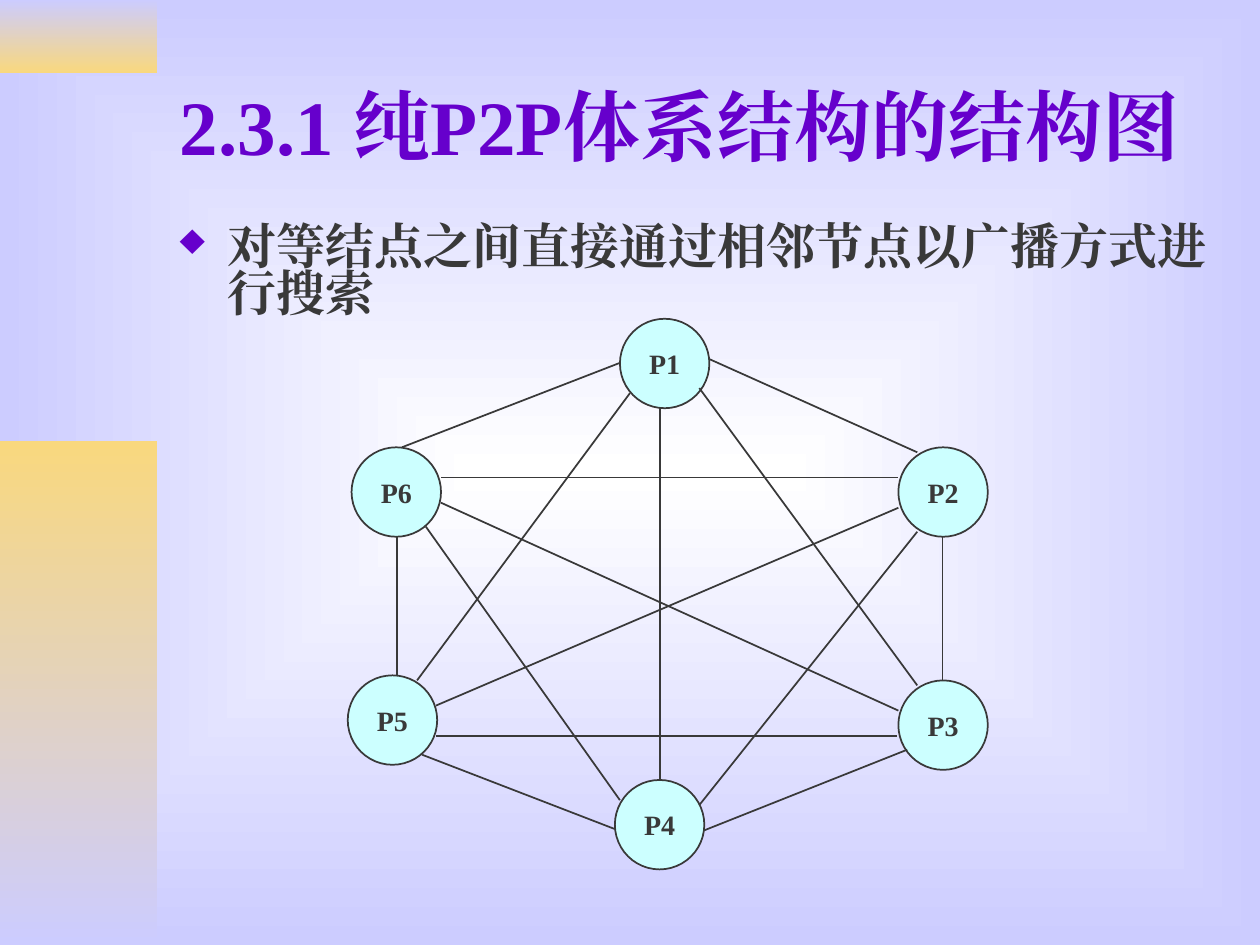
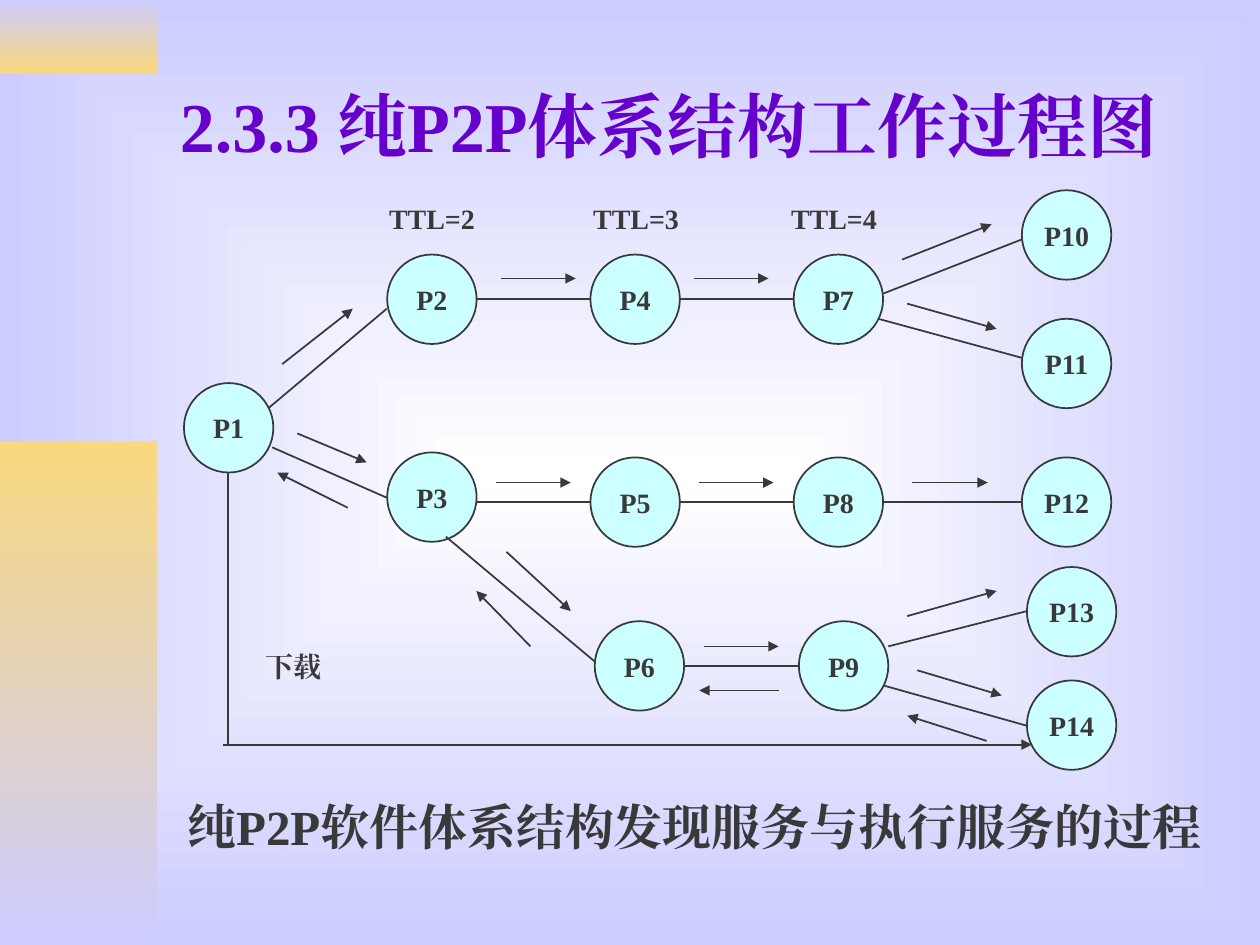
from lxml import etree
from pptx import Presentation
from pptx.dml.color import RGBColor
from pptx.enum.shapes import MSO_CONNECTOR, MSO_SHAPE
from pptx.enum.text import MSO_ANCHOR, PP_ALIGN
from pptx.oxml.ns import qn
from pptx.util import Inches, Pt

WHITE = RGBColor(0xFF, 0xFF, 0xFF)
LAVENDER = RGBColor(0xCC, 0xCC, 0xFF)
GOLD = RGBColor(0xF9, 0xD8, 0x7E)
PURPLE = RGBColor(0x66, 0x00, 0xCC)
CHARCOAL = RGBColor(0x39, 0x39, 0x39)
CYAN = RGBColor(0xCC, 0xFF, 0xFF)

STRAIGHT = MSO_CONNECTOR.STRAIGHT
OVAL, RECTANGLE = MSO_SHAPE.OVAL, MSO_SHAPE.RECTANGLE
TOP, MIDDLE = MSO_ANCHOR.TOP, MSO_ANCHOR.MIDDLE
LEFT, CENTER = PP_ALIGN.LEFT, PP_ALIGN.CENTER

FONT = "Times New Roman"
WIDTH, HEIGHT = Inches(10), Inches(7.5)
CELL = WIDTH // 100
NODE = 7.1
STAGES = [14.6 + 16.13 * stage for stage in range(4)]
LAST_STAGE = 81.1

MESH_PEERS = {
    "P1": (49.2, 25.3), "P6": (27.9, 35.5), "P5": (27.6, 53.6),
    "P4": (48.8, 61.9), "P2": (71.3, 35.5), "P3": (71.3, 54),
}
MESH_LINKS = [
    (49.2, 28.8, 31.9, 35.5), (50, 31.2, 33.1, 54), (55.5, 30.8, 72.8, 54.4),
    (56.3, 28.5, 72.8, 35.9), (35, 37.9, 71.3, 37.9), (31.5, 42.6, 31.5, 53.6),
    (33.8, 41.8, 49.2, 63.5), (74.8, 42.6, 74.8, 54), (72.8, 42.2, 55.5, 63.9),
    (72, 59.5, 55.9, 65.9), (48.8, 65.8, 33.5, 59.9), (71.2, 58.4, 34.6, 58.4),
    (52.4, 32.4, 52.4, 61.9), (35, 39.9, 71.3, 56.4), (71.3, 40.3, 34.6, 56),
]

SEARCH_PEERS = {
    "P1": (STAGES[0], 30.4),
    "P2": (STAGES[1], 20.2), "P4": (STAGES[2], 20.2), "P7": (STAGES[3], 20.2),
    "P10": (LAST_STAGE, 15.1), "P11": (LAST_STAGE, 25.3),
    "P3": (STAGES[1], 35.9), "P5": (STAGES[2], 36.3), "P8": (STAGES[3], 36.3),
    "P12": (LAST_STAGE, 36.3),
    "P6": (47.2, 49.3), "P9": (63.4, 49.3),
    "P13": (81.5, 45), "P14": (81.5, 54),
}
SEARCH_CHAINS = [("P2", "P4", "P7"), ("P3", "P5", "P8", "P12"), ("P6", "P9")]
SEARCH_BRANCHES = [
    (21.3, 32.4, 30.7, 24.5), (70.1, 23.3, 81.1, 19), (69.7, 25.3, 81.1, 28.4),
    (21.6, 35.5, 30.7, 39.5), (35.4, 42.6, 47.2, 52.5),
    (70.5, 51.3, 81.5, 48.5), (70.1, 54.4, 81.5, 57.6),
]
QUERIES = [
    (22.4, 28.9, 28, 24.5), (39.8, 22.1, 45.7, 22.1), (55.1, 22.1, 61, 22.1),
    (71.6, 20.6, 78.7, 17.8), (72, 24.1, 79.1, 26.1), (23.6, 34.4, 29.1, 36.7),
    (40.2, 43.8, 45.3, 48.5), (39.4, 38.3, 45.3, 38.3), (55.5, 38.3, 61.4, 38.3),
    (72.4, 38.3, 78.4, 38.3), (55.9, 51.3, 61.8, 51.3), (72, 48.9, 79.1, 46.9),
    (72.8, 53.2, 79.5, 55.2),
]
REPLIES = [
    (78.3, 58.8, 72, 56.8), (61.8, 54.8, 55.5, 54.8),
    (42.1, 51.3, 37.8, 46.9), (27.6, 40.3, 22, 37.5),
]
DOWNLOAD_DROP = (18.1, 37.5, 18.1, 59.1)
DOWNLOAD_RUN = (17.7, 59.1, 81.9, 59.1)


def cells(*lengths):
    """Convert grid columns and rows to slide lengths."""
    return [round(length * CELL) for length in lengths]


def shade(fill, start, end):
    """Give a fill a two-colour gradient."""
    fill.gradient()
    for stop, colour in zip(fill.gradient_stops, (start, end)):
        stop.color.rgb = colour


def paint_background(master):
    """Spread a rectangular gradient from the centre of every slide."""
    shade(master.background.fill, WHITE, LAVENDER)
    gradient = next(master._element.iter(qn("a:gradFill")))
    gradient.remove(gradient.find(qn("a:lin")))
    spread = etree.SubElement(gradient, qn("a:path"), path="rect")
    etree.SubElement(spread, qn("a:fillToRect"),
                     l="50000", t="50000", r="50000", b="50000")


def add_band(slide, top, height, start, end):
    """Draw one shaded band at the left edge."""
    band = slide.shapes.add_shape(RECTANGLE, *cells(0, top, 12.5, height))
    band.shadow.inherit = False
    band.line.fill.background()
    shade(band.fill, start, end)
    band.fill.gradient_angle = 270


def write(frame, words, size, colour=CHARCOAL, align=LEFT, anchor=TOP, wrap=True):
    """Fill a text frame with one bold paragraph and return it."""
    frame.word_wrap = wrap
    frame.vertical_anchor = anchor
    frame.text = words
    paragraph = frame.paragraphs[0]
    paragraph.alignment = align
    for run in paragraph.runs:
        run.font.name = FONT
        run.font.size = Pt(size)
        run.font.bold = True
        run.font.color.rgb = colour
        etree.SubElement(run.font._element, qn("a:ea"), typeface=FONT)
    return paragraph


def add_text(slide, place, words, size, **style):
    """Place a text box on the grid and return its paragraph."""
    box = slide.shapes.add_textbox(*cells(*place))
    return write(box.text_frame, words, size, **style)


def add_diamond(paragraph):
    """Give a paragraph a hanging diamond bullet."""
    paragraph.line_spacing = 0.8
    properties = paragraph._p.get_or_add_pPr()
    properties.set("marL", str(Inches(0.38)))
    properties.set("indent", str(-Inches(0.38)))
    colour = etree.SubElement(properties, qn("a:buClr"))
    etree.SubElement(colour, qn("a:srgbClr"), val=str(PURPLE))
    etree.SubElement(properties, qn("a:buSzPct"), val="90000")
    etree.SubElement(properties, qn("a:buChar"), char="♦")


def add_peers(slide, peers):
    """Draw every peer as a labelled circle."""
    for name, (left, top) in peers.items():
        peer = slide.shapes.add_shape(OVAL, *cells(left, top, NODE, NODE))
        peer.shadow.inherit = False
        peer.fill.solid()
        peer.fill.fore_color.rgb = CYAN
        peer.line.color.rgb = CHARCOAL
        peer.line.width = Pt(1)
        write(peer.text_frame, name, 16, align=CENTER, anchor=MIDDLE, wrap=False)


def add_links(slide, links, arrow=False):
    """Draw straight lines, with an arrowhead at the far end if asked."""
    for ends in links:
        link = slide.shapes.add_connector(STRAIGHT, *cells(*ends))
        link.line.color.rgb = CHARCOAL
        link.line.width = Pt(1)
        if arrow:
            etree.SubElement(link.line._get_or_add_ln(), qn("a:tailEnd"),
                             type="triangle")
        etree.SubElement(link._element.spPr, qn("a:effectLst"))


def chain_links(peers, chain):
    """Return level links between neighbours of a chain."""
    links = []
    for near, far in zip(chain, chain[1:]):
        middle = peers[far][1] + NODE / 2
        links.append((peers[near][0] + NODE, middle, peers[far][0], middle))
    return links


def new_slide(deck, title, size):
    """Add a slide with the shared bands and title."""
    slide = deck.slides.add_slide(deck.slide_layouts[6])
    add_band(slide, 0, 5.8, LAVENDER, GOLD)
    add_band(slide, 35, 40, GOLD, LAVENDER)
    add_text(slide, (13.3, 3.3, 85, 13.2), title, size,
             colour=PURPLE, anchor=MIDDLE)
    return slide


def build_structure(deck):
    """Build the slide of the fully meshed peers."""
    slide = new_slide(deck, "2.3.1 纯P2P体系结构的结构图", 44)
    add_diamond(add_text(slide, (13.3, 17.5, 85, 9),
                         "对等结点之间直接通过相邻节点以广播方式进行搜索", 28))
    add_peers(slide, MESH_PEERS)
    add_links(slide, MESH_LINKS)


def build_process(deck):
    """Build the slide of the search and download process."""
    slide = new_slide(deck, "2.3.3 纯P2P体系结构工作过程图", 40)
    add_text(slide, (12.6, 62.7, 85, 8.3),
             "纯P2P软件体系结构发现服务与执行服务的过程", 28, align=CENTER)
    add_peers(slide, SEARCH_PEERS)
    for chain in SEARCH_CHAINS:
        add_links(slide, chain_links(SEARCH_PEERS, chain))
    add_links(slide, SEARCH_BRANCHES + [DOWNLOAD_DROP])
    add_links(slide, QUERIES + REPLIES + [DOWNLOAD_RUN], arrow=True)
    for hops, left in enumerate((29.9, 46.1, 61.8), start=2):
        add_text(slide, (left, 15.5, 8.8, 3.7), f"TTL={hops}", 16, wrap=False)
    add_text(slide, (20.1, 51.1, 6.4, 3.7), "下载", 16, wrap=False)


def main():
    """Build and save the deck."""
    deck = Presentation()
    deck.slide_width, deck.slide_height = WIDTH, HEIGHT
    paint_background(deck.slide_master)
    build_structure(deck)
    build_process(deck)
    deck.save("out.pptx")


if __name__ == "__main__":
    main()
